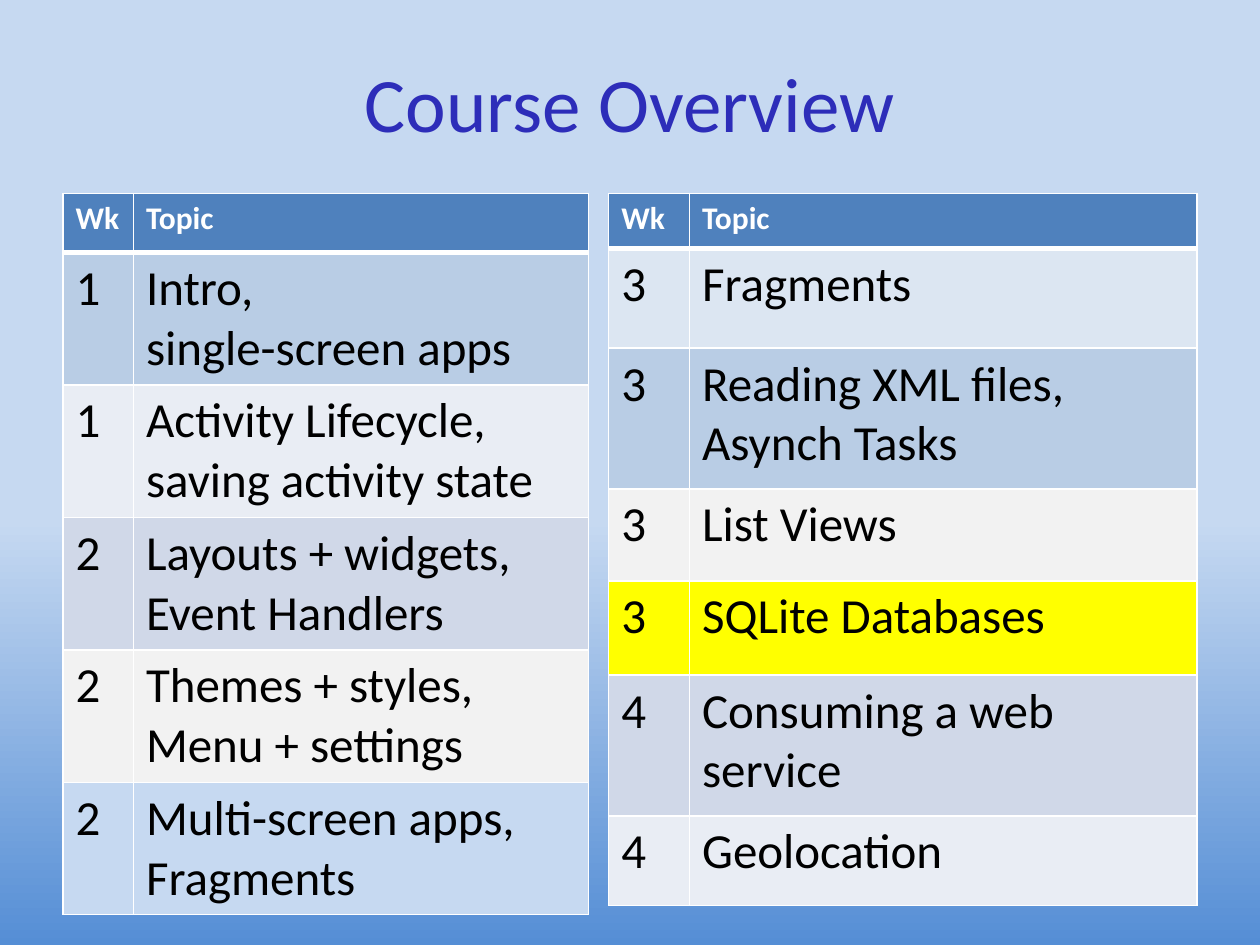
from dataclasses import dataclass

from lxml import etree
from pptx import Presentation, util as u
from pptx.dml import color
from pptx.enum import text as t
from pptx.oxml import ns

HEADER = ("Wk", "Topic", "4F81BD")
FIRST_WEEKS = [
    ("1", "Intro, \vsingle-screen apps", "B9CDE5"),
    ("1", "Activity Lifecycle, saving activity state", "E9EDF4"),
    ("2", "Layouts + widgets,\nEvent Handlers", "D0D8E8"),
    ("2", "Themes + styles,\nMenu + settings", "F2F2F2"),
    ("2", "Multi-screen apps, Fragments", "C6D9F1"),
]
LAST_WEEKS = [
    ("3", "Fragments", "DCE6F2"),
    ("3", "Reading XML files,\nAsynch Tasks", "B9CDE5"),
    ("3", "List Views", "F2F2F2"),
    ("3", "SQLite Databases", "FFFF00"),
    ("4", "Consuming a web service", "D0D8E8"),
    ("4", "Geolocation", "E9EDF4"),
]


def rgb(value):
    return color.RGBColor.from_string(value)


def write(frame, content, *, font, size, ink, bold=False, align=t.PP_ALIGN.LEFT):
    frame.word_wrap = True
    frame.text = content
    for paragraph in frame.paragraphs:
        paragraph.alignment = align
        for run in paragraph.runs:
            run.font.name = font
            run.font.size = u.Pt(size)
            run.font.bold = bold
            run.font.color.rgb = rgb(ink)


@dataclass
class Deck:
    """Holds the style and the slide being built."""

    slide: object
    font: str = "Calibri"
    title_ink: str = "2D2DB9"
    ink: str = "000000"
    light: str = "FFFFFF"

    def background(self, top, bottom, start):
        fill = self.slide.background.fill
        fill.gradient()
        fill.gradient_angle = 270
        for stop, shade, position in zip(fill.gradient_stops, (top, bottom), (start, 1)):
            stop.color.rgb = rgb(shade)
            stop.position = position

    def title(self, content, left, top, width, height):
        box = self.slide.shapes.add_textbox(*map(u.Cm, (left, top, width, height)))
        box.text_frame.vertical_anchor = t.MSO_ANCHOR.MIDDLE
        write(box.text_frame, content, font=self.font, size=44,
              ink=self.title_ink, align=t.PP_ALIGN.CENTER)

    def borders(self, cell, **widths):
        properties = cell._tc.get_or_add_tcPr()
        for side in "LRTB":
            line = etree.SubElement(properties, ns.qn(f"a:ln{side}"),
                                    w=str(u.Pt(widths.get(side, 1))))
            fill = etree.SubElement(line, ns.qn("a:solidFill"))
            etree.SubElement(fill, ns.qn("a:srgbClr"), val=self.light)

    def schedule(self, topics, left, top, columns, heights):
        rows = [HEADER, *topics]
        table = self.slide.shapes.add_table(
            len(rows), len(columns), u.Cm(left), u.Cm(top),
            u.Cm(sum(columns)), u.Cm(sum(heights))).table
        for column, width in zip(table.columns, columns):
            column.width = u.Cm(width)
        for index, (*entries, shade) in enumerate(rows):
            table.rows[index].height = u.Cm(heights[index])
            heading = index == 0
            for position, entry in enumerate(entries):
                cell = table.cell(index, position)
                self.borders(cell, T=3 if index == 1 else 1, B=3 if heading else 1)
                cell.fill.solid()
                cell.fill.fore_color.rgb = rgb(shade)
                write(cell.text_frame, entry, font=self.font, bold=heading,
                      size=18 if heading else 28,
                      ink=self.light if heading else self.ink)


def main():
    presentation = Presentation()
    presentation.slide_width, presentation.slide_height = u.Cm(25.4), u.Cm(19.05)
    deck = Deck(presentation.slides.add_slide(presentation.slide_layouts[6]))
    deck.background("C6D9F1", "558ED5", 0.55)
    deck.title("Course Overview", 1.27, 0.76, 22.86, 2.59)
    deck.schedule(FIRST_WEEKS, 1.27, 3.9, [1.42, 9.17], [1.19] + [2.67] * 5)
    deck.schedule(LAST_WEEKS, 12.27, 3.9, [1.63, 10.23],
                  [1.11, 2.01, 2.84, 1.85, 1.9, 2.84, 1.8])
    presentation.save("out.pptx")


if __name__ == "__main__":
    main()
